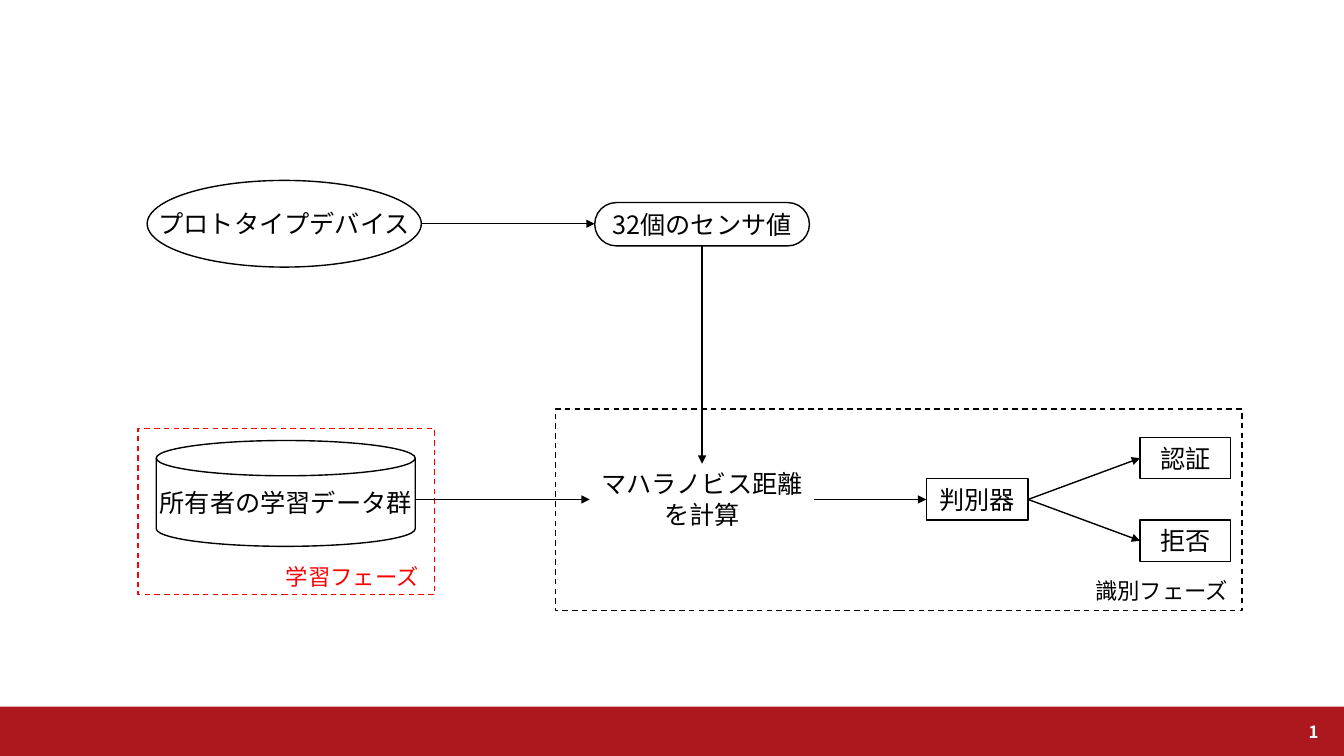
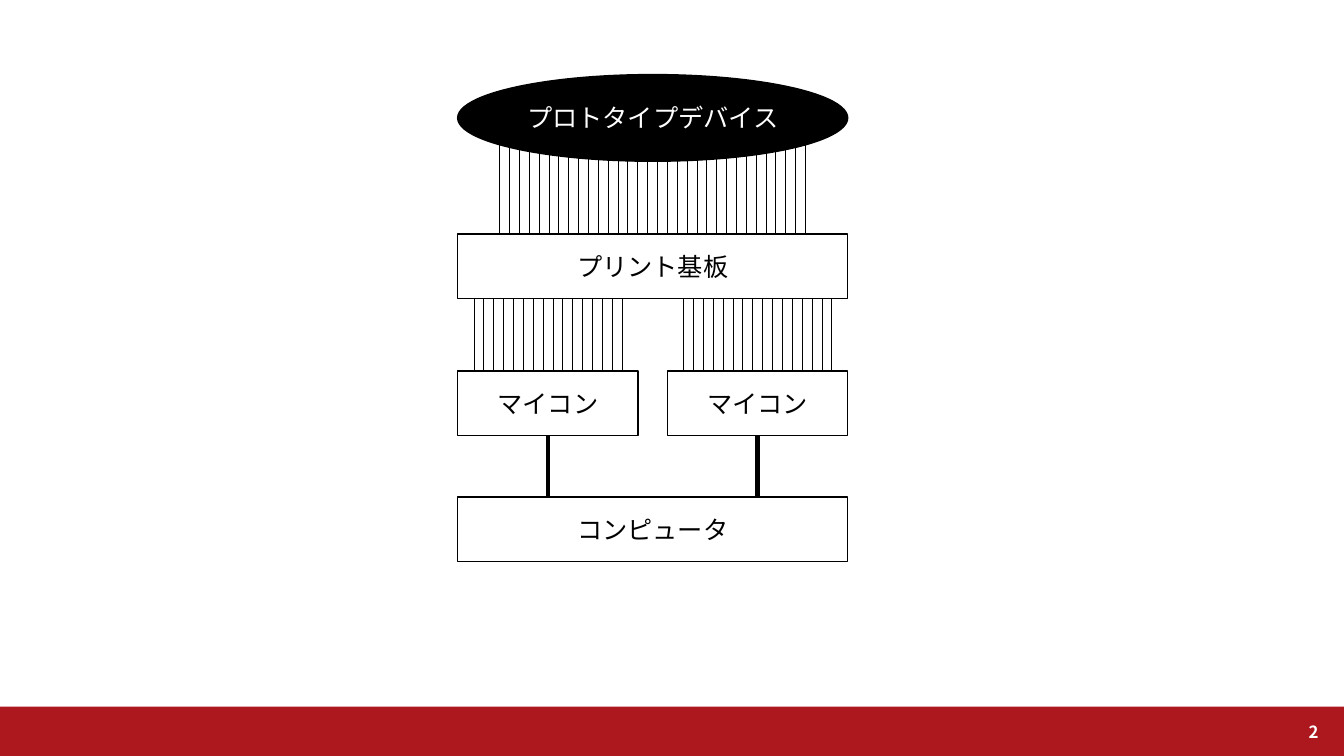
from dataclasses import dataclass

from lxml import etree
from pptx import Presentation
from pptx.dml.color import RGBColor
from pptx.enum.dml import MSO_LINE
from pptx.enum.shapes import MSO_CONNECTOR, MSO_SHAPE
from pptx.enum.text import MSO_ANCHOR, PP_ALIGN
from pptx.oxml.ns import qn
from pptx.shapes.autoshape import Shape
from pptx.slide import Slide
from pptx.util import Inches, Length, Pt

RECT, OVAL = MSO_SHAPE.RECTANGLE, MSO_SHAPE.OVAL
PILL, DISK = MSO_SHAPE.ROUNDED_RECTANGLE, MSO_SHAPE.FLOWCHART_MAGNETIC_DISK
STRAIGHT, DASH = MSO_CONNECTOR.STRAIGHT, MSO_LINE.DASH
CENTER, RIGHT, MIDDLE = PP_ALIGN.CENTER, PP_ALIGN.RIGHT, MSO_ANCHOR.MIDDLE

FONT = "Noto Sans CJK JP"
BLACK, WHITE, RED, CRIMSON = "000000", "FFFFFF", "FF0000", "AC181E"

# Grid of square cells: 80 columns by 45 rows
WIDTH, HEIGHT = Inches(13.33), Inches(7.5)
COLUMNS, ROWS = 80, 45
BAND_TOP = 42.06


@dataclass(frozen=True)
class Node:
    """A labelled outline; left, top, width and height are grid cells."""
    left: float
    top: float
    width: float
    height: float
    label: str = ""
    kind: MSO_SHAPE = RECT
    fill: str | None = None
    line: str | None = BLACK
    ink: str = BLACK
    dashed: bool = False

    @property
    def middle(self) -> float:
        return self.top + self.height / 2

    @property
    def center(self) -> float:
        return self.left + self.width / 2

    @property
    def right(self) -> float:
        return self.left + self.width

    @property
    def bottom(self) -> float:
        return self.top + self.height


@dataclass(frozen=True)
class Caption:
    """Free text in a box measured in grid cells."""
    left: float
    top: float
    width: float
    height: float
    text: str
    size: float = 16
    ink: str = BLACK


@dataclass(frozen=True)
class Link:
    """A straight line between two grid points."""
    x1: float
    y1: float
    x2: float
    y2: float
    weight: float = 1
    arrow: bool = True


@dataclass(frozen=True)
class WireBank:
    """Evenly spaced vertical wires."""
    first: float
    last: float
    top: float
    bottom: float
    count: int


def rgb(code: str) -> RGBColor:
    return RGBColor.from_string(code)


def col(cells: float) -> Length:
    return Length(round(WIDTH * cells / COLUMNS))


def row(cells: float) -> Length:
    return Length(round(HEIGHT * cells / ROWS))


def style_text(shape: Shape, size: float, ink: str, align: PP_ALIGN = CENTER,
               bold: bool = False) -> None:
    paragraph = shape.text_frame.paragraphs[0]
    paragraph.alignment = align
    font = paragraph.font
    font.name, font.size, font.bold = FONT, Pt(size), bold
    font.color.rgb = rgb(ink)
    for latin in shape.element.iter(qn("a:latin")):
        east_asian = etree.Element(qn("a:ea"), typeface=FONT)
        latin.addnext(east_asian)


def draw_node(slide: Slide, node: Node) -> Shape:
    shape = slide.shapes.add_shape(node.kind, col(node.left), row(node.top),
                                   col(node.width), row(node.height))
    shape.shadow.inherit = False
    if node.kind == PILL:
        shape.adjustments[0] = 0.5
    if node.fill:
        shape.fill.solid()
        shape.fill.fore_color.rgb = rgb(node.fill)
    else:
        shape.fill.background()
    if node.line:
        shape.line.color.rgb = rgb(node.line)
        shape.line.width = Pt(1)
        if node.dashed:
            shape.line.dash_style = DASH
    else:
        shape.line.fill.background()
    if node.label:
        frame = shape.text_frame
        frame.text = node.label
        frame.word_wrap = False
        frame.vertical_anchor = MIDDLE
        style_text(shape, 18, node.ink)
    return shape


def draw_caption(slide: Slide, caption: Caption) -> None:
    box = slide.shapes.add_textbox(col(caption.left), row(caption.top),
                                   col(caption.width), row(caption.height))
    box.text_frame.word_wrap = True
    box.text_frame.text = caption.text
    style_text(box, caption.size, caption.ink)


def draw_link(slide: Slide, link: Link) -> None:
    connector = slide.shapes.add_connector(STRAIGHT, col(link.x1), row(link.y1),
                                           col(link.x2), row(link.y2))
    connector.line.color.rgb = rgb(BLACK)
    connector.line.width = Pt(link.weight)
    properties = connector.element.spPr
    if link.arrow:
        etree.SubElement(properties.find(qn("a:ln")), qn("a:tailEnd"), type="triangle")
    etree.SubElement(properties, qn("a:effectLst"))


def draw_wires(slide: Slide, bank: WireBank) -> None:
    pitch = (bank.last - bank.first) / (bank.count - 1)
    for index in range(bank.count):
        x = bank.first + index * pitch
        draw_link(slide, Link(x, bank.top, x, bank.bottom, weight=0.5, arrow=False))


def draw_page_number(slide: Slide, number: int) -> None:
    box = slide.shapes.add_textbox(col(73.56), row(BAND_TOP), col(5.52), row(ROWS - BAND_TOP))
    box.text_frame.vertical_anchor = MIDDLE
    box.text_frame.word_wrap = True
    style_text(box, 12, WHITE, RIGHT, bold=True)
    field = etree.SubElement(box.element.find(".//" + qn("a:p")), qn("a:fld"),
                             id="{B6F15528-21DE-4FAA-801E-634DDDAF4B2B}", type="slidenum")
    etree.SubElement(field, qn("a:rPr"), lang="ja-JP")
    etree.SubElement(field, qn("a:t")).text = str(number)


presentation = Presentation()
presentation.slide_width, presentation.slide_height = WIDTH, HEIGHT
layout = presentation.slide_layouts[6]
authentication, wiring = (presentation.slides.add_slide(layout) for _ in range(2))

# Shared footer: the band lives on the layout, the number on each slide
footer_band = draw_node(authentication, Node(0, BAND_TOP, COLUMNS, ROWS - BAND_TOP,
                                             fill=CRIMSON, line=None))
layout.shapes.element.append(footer_band.element)
for page, slide in enumerate((authentication, wiring), start=1):
    draw_page_number(slide, page)

# Slide 1: authentication flow
learning_phase = Node(8.22, 25.5, 17.64, 9.9, line=RED, dashed=True)
identification_phase = Node(33.06, 24.36, 40.86, 12, dashed=True)
device = Node(8.76, 10.74, 16.32, 5.16, "プロトタイプデバイス", OVAL)
sensor_values = Node(35.4, 12.06, 12.78, 2.58, "32個のセンサ値", PILL)
owner_data = Node(9.3, 26.22, 15.42, 6.3, "所有者の学習データ群", DISK)
classifier = Node(55.14, 28.5, 6.06, 2.46, "判別器")
accepted = Node(67.86, 26.04, 5.4, 2.46, "認証")
rejected = Node(67.86, 30.96, 5.4, 2.46, "拒否")
distance = Caption(35.1, 27.6, 13.38, 4.26, "マハラノビス距離を計算", size=18)

for node in (learning_phase, identification_phase, device, sensor_values,
             owner_data, classifier, accepted, rejected):
    draw_node(authentication, node)
for caption in (
    distance,
    Caption(16.14, 33.24, 9.66, 2.22, "学習フェーズ", ink=RED),
    Caption(64.32, 34.08, 9.66, 2.22, "識別フェーズ"),
):
    draw_caption(authentication, caption)

flow = classifier.middle
for link in (
    Link(device.right, device.middle, sensor_values.left, device.middle),
    Link(sensor_values.center, sensor_values.bottom, sensor_values.center, distance.top),
    Link(owner_data.right, flow, distance.left, flow),
    Link(distance.left + distance.width, flow, classifier.left, flow),
    Link(classifier.right, flow, accepted.left, accepted.middle),
    Link(classifier.right, flow, rejected.left, rejected.middle),
):
    draw_link(authentication, link)

# Slide 2: device wiring, stacked from device to computer
STACK_LEFT, STACK_WIDTH, BOX_HEIGHT = 27.24, 23.22, 3.84
MCU_WIDTH, MCU_TOP = 10.74, 22.08
prototype = Node(STACK_LEFT, 4.44, STACK_WIDTH, 5.16, "プロトタイプデバイス", OVAL,
                 fill=BLACK, ink=WHITE)
circuit_board = Node(STACK_LEFT, 13.92, STACK_WIDTH, BOX_HEIGHT, "プリント基板")
computer = Node(STACK_LEFT, 29.58, STACK_WIDTH, BOX_HEIGHT, "コンピュータ")
microcontrollers = [Node(left, MCU_TOP, MCU_WIDTH, BOX_HEIGHT, "マイコン")
                    for left in (STACK_LEFT, STACK_LEFT + STACK_WIDTH - MCU_WIDTH)]

for node in (prototype, circuit_board, *microcontrollers, computer):
    draw_node(wiring, node)
draw_wires(wiring, WireBank(29.74, 47.94, 8.6, circuit_board.top, 32))
for mcu in microcontrollers:
    draw_wires(wiring, WireBank(mcu.left + 0.97, mcu.right - 0.95,
                                circuit_board.bottom, mcu.top, 16))
    draw_link(wiring, Link(mcu.center, mcu.bottom, mcu.center, computer.top,
                           weight=3, arrow=False))

presentation.save("out.pptx")
